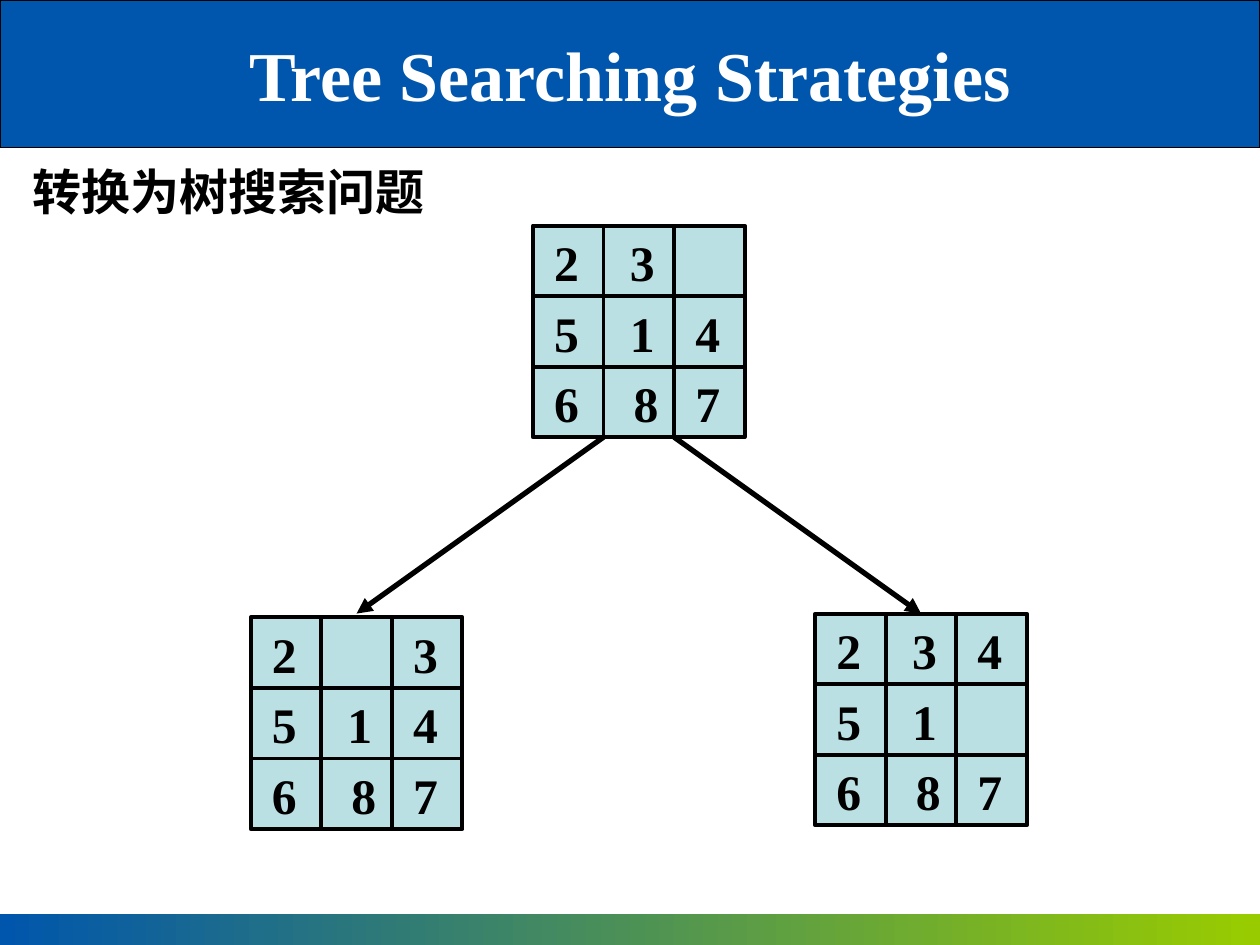
from pptx import Presentation
from pptx.dml.color import RGBColor
from pptx.enum.shapes import MSO_CONNECTOR, MSO_SHAPE
from pptx.enum.text import MSO_ANCHOR, PP_ALIGN
from pptx.oxml.ns import qn
from pptx.util import Inches, Pt
from lxml import etree

STRAIGHT = MSO_CONNECTOR.STRAIGHT
RECTANGLE = MSO_SHAPE.RECTANGLE
TOP, MIDDLE = MSO_ANCHOR.TOP, MSO_ANCHOR.MIDDLE
LEFT, CENTER, JUSTIFY = PP_ALIGN.LEFT, PP_ALIGN.CENTER, PP_ALIGN.JUSTIFY

COLORS = {
    name: RGBColor.from_string(value)
    for name, value in {
        "blue": "0056AC", "green": "99CC00", "tile": "BBE0E3",
        "black": "000000", "white": "FFFFFF",
    }.items()
}
LATIN, CHINESE = "Times New Roman", "Noto Sans CJK SC"
WIDTH, HEIGHT = 10, 7.5
CELL = 0.56
BOARD = 3 * CELL


def add_text(shapes, box, text, size, color="black", font=LATIN,
             align=LEFT, anchor=TOP, wrap=True):
    shape = shapes.add_textbox(*[Inches(value) for value in box])
    frame = shape.text_frame
    frame.text = text
    frame.word_wrap = wrap
    frame.vertical_anchor = anchor
    paragraph = frame.paragraphs[0]
    paragraph.alignment = align
    run = paragraph.runs[0]
    run.font.size = Pt(size)
    run.font.bold = True
    run.font.name = font
    run.font.color.rgb = COLORS[color]
    properties = run.font._element
    etree.SubElement(properties, qn("a:ea")).set("typeface", font)


def add_line(shapes, start, end, width):
    points = [Inches(value) for value in (*start, *end)]
    line = shapes.add_connector(STRAIGHT, *points)
    line.line.color.rgb = COLORS["black"]
    line.line.width = Pt(width)
    etree.SubElement(line._element.spPr, qn("a:effectLst"))
    return line


presentation = Presentation()
presentation.slide_width = Inches(WIDTH)
presentation.slide_height = Inches(HEIGHT)
slide = presentation.slides.add_slide(presentation.slide_layouts[6])
shapes = slide.shapes

header = shapes.add_shape(RECTANGLE, 0, 0, Inches(WIDTH), Inches(1.17))
header.shadow.inherit = False
header.fill.solid()
header.fill.fore_color.rgb = COLORS["blue"]
header.line.color.rgb = COLORS["black"]
header.line.width = Pt(0.75)

footer = shapes.add_shape(RECTANGLE, 0, Inches(HEIGHT - 0.25), Inches(WIDTH), Inches(0.25))
footer.shadow.inherit = False
footer.line.fill.background()
footer.fill.gradient()
footer.fill.gradient_angle = 0
for stop, color, position in zip(footer.fill.gradient_stops, ("blue", "green"), (0, 1)):
    stop.color.rgb = COLORS[color]
    stop.position = position

add_text(shapes, (0.16, 1.23, 3.68, 0.77), "转换为树搜索问题", 28,
         font=CHINESE, align=JUSTIFY)

boards = [
    (4.23, 1.79, ("23 ", "514", "687")),
    (1.99, 4.9, ("2 3", "514", "687")),
    (6.47, 4.87, ("234", "51 ", "687")),
]
digit_offsets = (0.07, 0.67, 1.19)
for left, top, rows in boards:
    group = shapes.add_group_shape().shapes
    square = group.add_shape(RECTANGLE, Inches(left), Inches(top), Inches(BOARD), Inches(BOARD))
    square.shadow.inherit = False
    square.fill.solid()
    square.fill.fore_color.rgb = COLORS["tile"]
    square.line.color.rgb = COLORS["black"]
    square.line.width = Pt(2.25)
    for step in (CELL, 2 * CELL):
        add_line(group, (left, top + step), (left + BOARD, top + step), 2.25)
        add_line(group, (left + step, top), (left + step, top + BOARD), 2.25)
    for row, digits in enumerate(rows):
        for offset, digit in zip(digit_offsets, digits):
            if digit != " ":
                nudge = 0.03 if digit == "8" else 0
                box = (left + offset + nudge, top + row * CELL, 0.4, 0.58)
                add_text(group, box, digit, 28.4, wrap=False)

root_left, root_top, _ = boards[0]
for column, tip in ((1, 2.83), (2, 7.31)):
    arrow = add_line(shapes, (root_left + column * CELL, root_top + BOARD), (tip, 4.87), 3)
    etree.SubElement(arrow.line._get_or_add_ln(), qn("a:tailEnd")).set("type", "triangle")

add_text(shapes, (1.25, 0.08, 7.5, 1), "Tree Searching Strategies", 40,
         color="white", align=CENTER, anchor=MIDDLE)

presentation.save("out.pptx")
